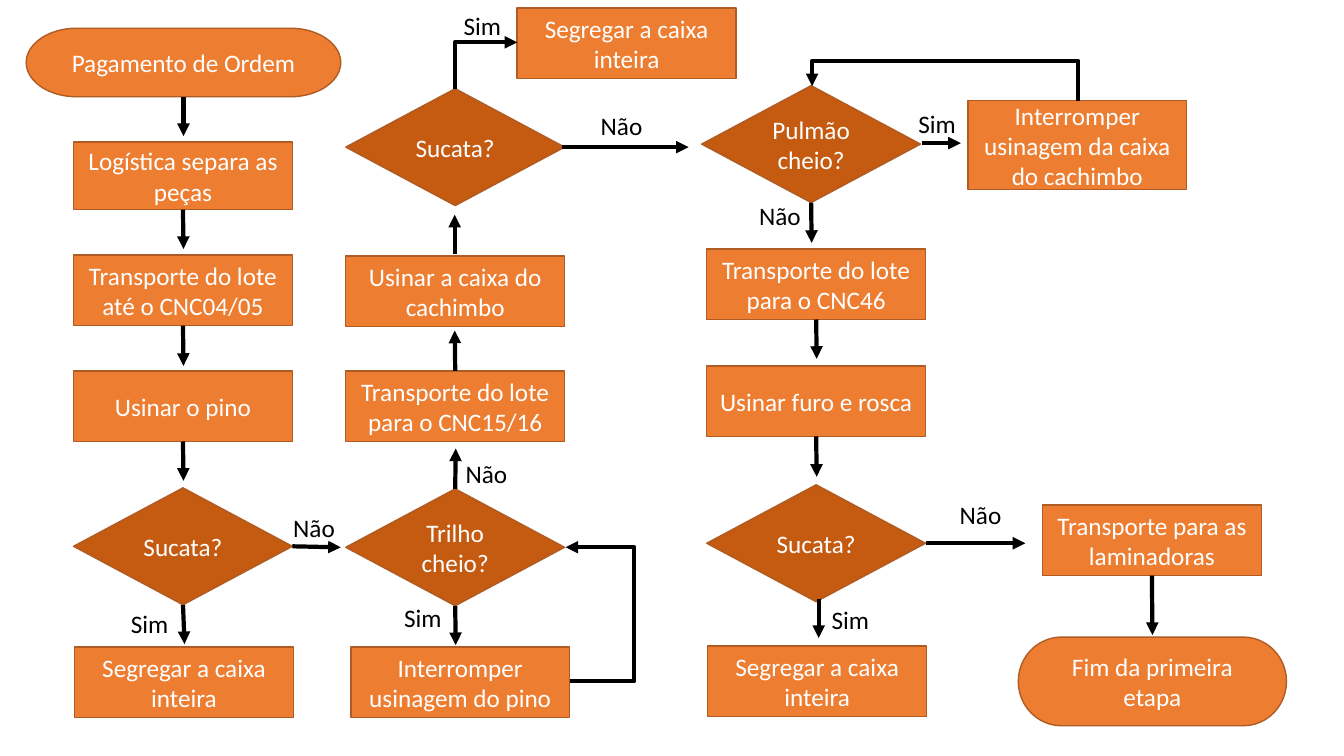
from lxml import etree
from pptx import Presentation
from pptx.dml.color import RGBColor as RGB
from pptx.enum.shapes import MSO_CONNECTOR as Link, MSO_SHAPE as Kind
from pptx.enum.text import MSO_ANCHOR as Anchor, PP_ALIGN as Align
from pptx.oxml.ns import qn
from pptx.util import Inches, Pt

COLORS = {"step": "ED7D31", "test": "C55A11", "edge": "AF5C24",
          "light": "FFFFFF", "dark": "000000"}

deck = Presentation()
deck.slide_width, deck.slide_height = Inches(13.33), Inches(7.5)
slide = deck.slides.add_slide(deck.slide_layouts[6])


def write(shape, text, color="light", align=Align.CENTER,
          anchor=Anchor.MIDDLE, wrap=True):
    frame = shape.text_frame
    frame.word_wrap, frame.vertical_anchor = wrap, anchor
    par = frame.paragraphs[0]
    par.text, par.alignment = text, align
    par.font.size, par.font.name = Pt(18), "Calibri"
    par.font.color.rgb = RGB.from_string(COLORS[color])


def link(kind, x1, y1, x2, y2):
    line = slide.shapes.add_connector(
        kind, Inches(x1), Inches(y1), Inches(x2), Inches(y2))
    line.line.width = Pt(3)
    line.line.color.rgb = RGB.from_string(COLORS["dark"])
    etree.SubElement(line.line._get_or_add_ln(), qn("a:tailEnd"), type="triangle")
    etree.SubElement(line._element.spPr, qn("a:effectLst"))
    return line


# Steps, tests and ends: name, kind, left, top, width, height, text
W, H, D = 2.17, 0.7, 1.16
RECT, TEST, END = Kind.RECTANGLE, Kind.DIAMOND, Kind.FLOWCHART_TERMINATOR
nodes = [
    ("start", END, 0.26, 0.28, 3.12, 0.68, "Pagamento de Ordem"),
    ("sort", RECT, 0.73, 1.41, W, 0.67, "Logística separa as peças"),
    ("move1", RECT, 0.73, 2.53, W, H, "Transporte do lote até o CNC04/05"),
    ("pin", RECT, 0.73, 3.68, W, H, "Usinar o pino"),
    ("scrap1", TEST, 0.73, 4.84, W, D, "Sucata?"),
    ("hold1", RECT, 0.74, 6.42, W, H, "Segregar a caixa inteira"),
    ("move2", RECT, 3.43, 3.68, W, H, "Transporte do lote para o CNC15/16"),
    ("case", RECT, 3.43, 2.54, W, H, "Usinar a caixa do cachimbo"),
    ("scrap2", TEST, 3.43, 0.88, W, D, "Sucata?"),
    ("rail", TEST, 3.43, 4.85, W, D, "Trilho cheio?"),
    ("stop1", RECT, 3.48, 6.42, W, H, "Interromper usinagem do pino"),
    ("hold2", RECT, 5.13, 0.08, W, H, "Segregar a caixa inteira"),
    ("buffer", TEST, 6.96, 0.85, W, D, "Pulmão cheio?"),
    ("stop2", RECT, 9.6, 1, W, 0.88, "Interromper usinagem da caixa do cachimbo"),
    ("move3", RECT, 7.01, 2.47, W, H, "Transporte do lote para o CNC46"),
    ("bore", RECT, 7.01, 3.63, W, H, "Usinar furo e rosca"),
    ("scrap3", TEST, 7.01, 4.81, W, D, "Sucata?"),
    ("hold3", RECT, 7.02, 6.41, W, H, "Segregar a caixa inteira"),
    ("move4", RECT, 10.34, 5.01, W, H, "Transporte para as laminadoras"),
    ("end", END, 10.1, 6.32, 2.66, 0.88, "Fim da primeira etapa"),
]
made = {}
for name, kind, x, y, w, h, text in nodes:
    node = slide.shapes.add_shape(kind, Inches(x), Inches(y), Inches(w), Inches(h))
    node.shadow.inherit = False
    node.fill.solid()
    fill = "test" if kind == TEST else "step"
    node.fill.fore_color.rgb = RGB.from_string(COLORS[fill])
    node.line.color.rgb = RGB.from_string(COLORS["edge"])
    node.line.width = Pt(1)
    write(node, text)
    made[name] = node

# Arrows that leave the middle of a side: node, side, tip
TOP, BOTTOM, RIGHT = 0, 2, 3
for name, side, x, y in [
    ("start", BOTTOM, 1.82, 1.35), ("sort", BOTTOM, 1.82, 2.47),
    ("move1", BOTTOM, 1.82, 3.63), ("pin", BOTTOM, 1.82, 4.77),
    ("scrap1", RIGHT, 3.38, 5.43), ("scrap1", BOTTOM, 1.83, 6.39),
    ("rail", TOP, 4.52, 4.45), ("rail", BOTTOM, 4.52, 6.4),
    ("move2", TOP, 4.51, 3.28), ("buffer", BOTTOM, 8.05, 2.41),
    ("move3", BOTTOM, 8.1, 3.56), ("bore", BOTTOM, 8.1, 4.73),
    ("scrap3", RIGHT, 10.17, 5.39), ("move4", BOTTOM, 11.43, 6.3),
]:
    link(Link.STRAIGHT, x, y, x, y).begin_connect(made[name], side)

# Free arrows
for ends in [(4.51, 2.52, 4.51, 2.13), (5.57, 1.46, 6.83, 1.46),
             (9.14, 1.42, 9.53, 1.42), (8.12, 5.94, 8.12, 6.33)]:
    link(Link.STRAIGHT, *ends)

# Bent arrows: unturned ends, turn in degrees, preset, bend
for ends, turn, preset, bend in [
    ((5.05, 0.96, 4.59, 0.34), 90, "bentConnector2", None),
    ((5.65, 6.76, 5.61, 5.43), 0, "bentConnector3", -1600000),
    ((9.3, 2.25, 9.45, -0.39), 270, "bentConnector3", 267000),
]:
    line = link(Link.ELBOW, *ends)
    props = line._element.spPr
    if turn:
        props.find(qn("a:xfrm")).set("rot", str(turn * 60000))
    shape = props.find(qn("a:prstGeom"))
    shape.set("prst", preset)
    if bend:
        etree.SubElement(shape.find(qn("a:avLst")), qn("a:gd"),
                         name="adj1", fmla=f"val {bend}")

# Answers beside the arrows
for text, w, spots in [
    ("Sim", 0.58, [(1.2, 5.99), (8.15, 5.95), (3.91, 5.93), (4.5, 0.05), (9.01, 1.03)]),
    ("Não", 0.62, [(2.81, 5.03), (4.52, 4.5), (9.42, 4.9), (5.86, 1.05), (7.43, 1.94)]),
]:
    for x, y in spots:
        box = slide.shapes.add_textbox(Inches(x), Inches(y), Inches(w), Inches(0.4))
        write(box, text, color="dark", align=Align.LEFT, anchor=Anchor.TOP, wrap=False)

deck.save("out.pptx")
